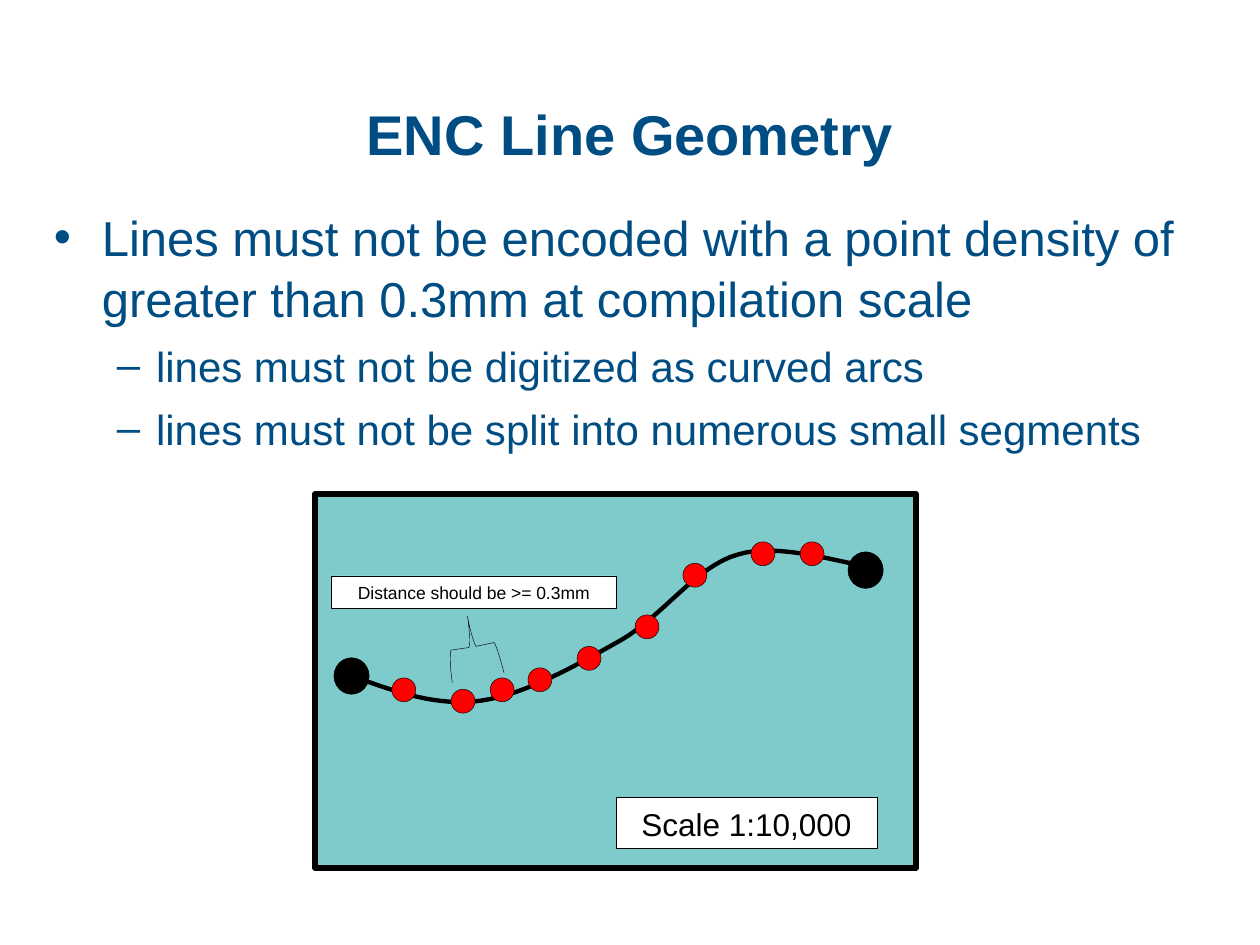
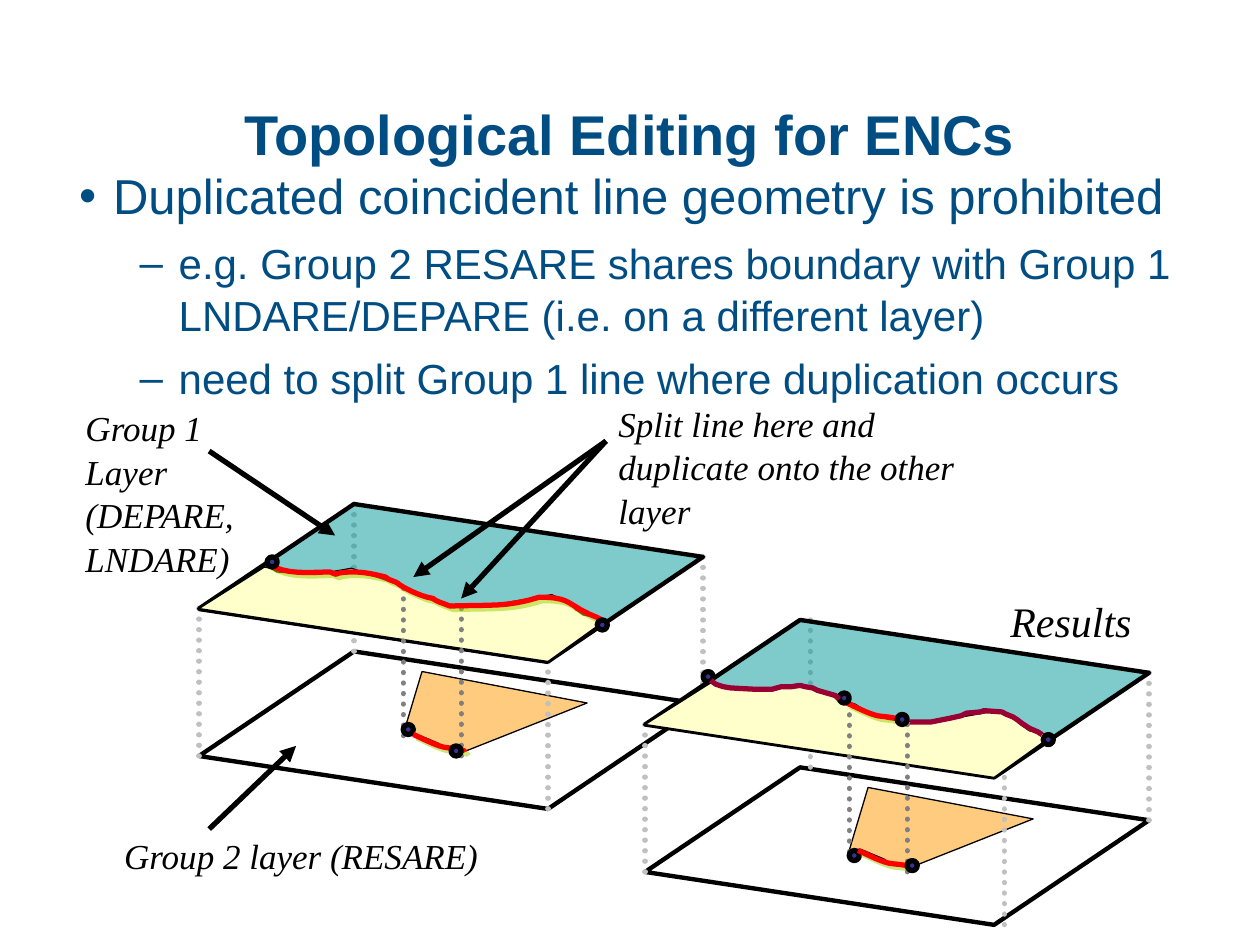
import pptx
import pptx.util
from dataclasses import dataclass
from lxml import etree
from pptx.dml.color import RGBColor
from pptx.enum.dml import MSO_LINE
from pptx.enum.shapes import MSO_CONNECTOR, MSO_SHAPE
from pptx.enum.text import MSO_ANCHOR, PP_ALIGN
from pptx.oxml.ns import qn

PX = 9144  # one px is a hundredth of an inch


@dataclass(frozen=True)
class Theme:
    navy: str = "004D83"
    black: str = "000000"
    white: str = "FFFFFF"
    red: str = "FF0000"
    wine: str = "990033"
    teal: str = "009999"
    sand: str = "FFFFCC"
    amber: str = "FF9900"
    indigo: str = "333399"
    lime: str = "99CC00"
    light: str = "C0C0C0"
    grey: str = "808080"
    sans: str = "Arial"
    serif: str = "Times New Roman"
    title: int = 32
    body: tuple = (28, 24)
    before: tuple = (7, 6)
    note: int = 20
    lead: float = 1.04


T = Theme()


# Shared helpers
def emu(*nums):
    return [round(n * PX) for n in nums]


def child(parent, tag, **attrs):
    return etree.SubElement(parent, qn(tag), {k: str(v) for k, v in attrs.items()})


def tint(color, hue, alpha=100):
    color.rgb = RGBColor.from_string(hue)
    if alpha < 100:
        child(color._xFill[0], "a:alpha", val=alpha * 1000)


def paint(shape, fill, line, width, alpha=100):
    shape.shadow.inherit = False
    if fill:
        shape.fill.solid()
        node = shape.fill
        node.fore_color.rgb = RGBColor.from_string(fill)
        if alpha < 100:
            hue = shape._element.spPr.find(qn("a:solidFill"))[0]
            child(hue, "a:alpha", val=alpha * 1000)
    else:
        shape.fill.background()
    shape.line.color.rgb = RGBColor.from_string(line)
    shape.line.width = pptx.util.Pt(width)
    return shape


def preset(shapes, kind, box, fill, line, width, alpha=100):
    shape = shapes.add_shape(kind, *emu(*box))
    return paint(shape, fill, line, width, alpha)


def outline(shapes, x, y, points, line, width, fill=None, alpha=100):
    """Draw points as an open line, or as a closed area if it has a fill."""
    spots = [emu(x + px, y + py) for px, py in points]
    build = shapes.build_freeform(*spots[0], scale=1.0)
    build.add_line_segments(spots[1:], close=bool(fill))
    return paint(build.convert_to_shape(), fill, line, width, alpha)


def curve(points, steps=8):
    """Flatten a chain of cubic curves: a start, then three points for each."""
    flat = [points[0]]
    for i in range(0, len(points) - 1, 3):
        a, b, c, d = points[i:i + 4]
        for n in range(1, steps + 1):
            t = n / steps
            u = 1 - t
            flat.append(tuple(
                u**3 * a[k] + 3 * u * u * t * b[k] + 3 * u * t * t * c[k] + t**3 * d[k]
                for k in (0, 1)))
    return flat


def rule(shapes, start, end, hue=T.black, dots=False, arrow=False):
    line = shapes.add_connector(MSO_CONNECTOR.STRAIGHT, *emu(*start, *end))
    line.line.color.rgb = RGBColor.from_string(hue)
    line.line.width = pptx.util.Pt(3)
    props = line._element.spPr
    stroke = props.find(qn("a:ln"))
    if dots:
        line.line.dash_style = MSO_LINE.ROUND_DOT
        stroke.set("cap", "rnd")
    if arrow:
        child(stroke, "a:tailEnd", type="triangle")
    child(props, "a:effectLst")


def frame(shape, anchor=MSO_ANCHOR.MIDDLE, wrap=True):
    text = shape.text_frame
    text.word_wrap = wrap
    text.vertical_anchor = anchor
    text.margin_left = text.margin_right = PX * 10
    text.margin_top = text.margin_bottom = PX * 5
    return text


def write(para, words, size, hue=T.black, face=T.sans, bold=False, italic=False):
    para.line_spacing = T.lead
    run = para.add_run()
    run.text = words
    font = run.font
    font.name, font.size = face, pptx.util.Pt(size)
    font.bold, font.italic = bold, italic
    font.color.rgb = RGBColor.from_string(hue)


def title(slide, words):
    text = frame(slide.shapes.add_textbox(*emu(50, 42, 900, 125)))
    text.paragraphs[0].alignment = PP_ALIGN.CENTER
    write(text.paragraphs[0], words, T.title, T.navy, bold=True)


def bullets(slide, box, items, indents):
    """Items are (level, words); indents give (margin, hang) for each level."""
    text = frame(slide.shapes.add_textbox(*emu(*box)), MSO_ANCHOR.TOP)
    for i, (level, words) in enumerate(items):
        para = text.add_paragraph() if i else text.paragraphs[0]
        if i:
            para.space_before = pptx.util.Pt(T.before[level])
        props = para._p.get_or_add_pPr()
        margin, hang = emu(*indents[level])
        props.set("marL", str(margin))
        props.set("indent", str(-hang))
        child(child(props, "a:buClr"), "a:srgbClr", val=T.navy)
        child(props, "a:buFont", typeface=T.sans)
        child(props, "a:buChar", char="•–"[level])
        write(para, words, T.body[level], T.navy)


def note(slide, box, lines, size=T.note, wrap=True, align=PP_ALIGN.LEFT):
    text = frame(slide.shapes.add_textbox(*emu(*box)), wrap=wrap)
    for i, words in enumerate(lines):
        para = text.add_paragraph() if i else text.paragraphs[0]
        para.alignment = align
        write(para, words, size, face=T.serif, italic=True)


# Slide 1: line with its vertices
def chart(slide, x, y):
    shapes = slide.shapes
    preset(shapes, MSO_SHAPE.RECTANGLE, (x, y, 477, 297), T.teal, T.black, 3, 50)
    route = [(31, 145), (64, 157), (97, 169), (132, 164), (168, 159), (209, 135),
             (243, 116), (277, 96), (303, 57), (336, 48), (368, 38), (422, 56), (437, 57)]
    outline(shapes, x, y, curve(route, 16), T.black, 2.5)

    # End nodes and vertices
    ends = [(423, 46), (15, 130)]
    knots = [(61, 146), (108, 155), (139, 146), (169, 138), (208, 121),
             (254, 96), (292, 55), (346, 38), (385, 38)]
    for spots, wide, high, hue in ((ends, 28, 29, T.black), (knots, 19, 19, T.red)):
        for left, top in spots:
            preset(shapes, MSO_SHAPE.OVAL, (x + left, y + top, wide, high),
                   hue, T.black, 0.25)

    # Labels
    for (left, top, wide, high), words, size in (
            ((239, 241, 207, 40), "Scale 1:10,000", 18),
            ((13, 65, 226, 26), "Distance should be >= 0.3mm", 10)):
        label = preset(shapes, MSO_SHAPE.RECTANGLE, (x + left, y + top, wide, high),
                       T.white, T.black, 0.25)
        para = frame(label).paragraphs[0]
        para.alignment = PP_ALIGN.CENTER
        write(para, words, size)

    # Brace over one gap
    brace = [(150, 142), (147, 130), (143, 118), (142, 118), (142, 118), (128, 121),
             (128, 121), (127, 121), (123, 109), (121, 97), (123, 109), (123, 122),
             (122, 122), (122, 122), (108, 124), (108, 124), (107, 125), (107, 137),
             (109, 150)]
    outline(shapes, x, y, curve(brace), T.black, 0.25)


# Slide 2: two stacked layers
def plane(shapes, x, y, fill):
    corners = [(123, 0), (0, 83), (277, 125), (400, 42)]
    outline(shapes, x, y, corners, T.black, 2.5, fill, 50)


def layers(shapes, x, y, shift=0):
    """Draw both planes, their areas and posts; shift moves two of the posts."""
    plane(shapes, x, y + 117, T.white)
    zone = [(171, 182), (190, 190), (194, 193), (204, 194), (212, 196),
            (308, 158), (177, 133), (162, 183)]
    outline(shapes, x, y, zone, T.black, 0.75, T.amber, 50)

    def posts(spots, hue):
        for left, top in spots:
            rule(shapes, (x + left, y + top), (x + left, y + top + 117), hue, dots=True)

    posts([(0, 83), (277 + shift, 125), (400, 42), (123 + shift, 0)], T.light)
    if not shift:
        rule(shapes, (x, y + 83), (x + 277, y + 125))
    plane(shapes, x, y, T.teal)
    land = [(323, 92), (305, 88), (298, 83), (295, 79), (280, 72), (223, 82), (193, 79),
            (175, 72), (167, 67), (121, 51), (93, 56), (62, 54), (57, 51), (52, 50),
            (0, 83), (277, 125)]
    outline(shapes, x, y, land, T.black, 0.75, T.sand)
    posts([(208, 83), (162, 67)], T.grey)


def nodes(shapes, x, y, spots):
    for left, top in spots:
        preset(shapes, MSO_SHAPE.OVAL, (x + left, y + top, 8, 8), T.indigo, T.black, 3)


def glow(shapes, x, y, points):
    """Draw a red line with a lime shadow."""
    line = outline(shapes, x, y, curve(points), T.red, 3)
    effect = line._element.spPr.find(qn("a:effectLst"))
    shade = child(effect, "a:outerShdw", dist=round(2.8 * 12700), dir=45 * 60000,
                  algn="ctr", rotWithShape=0)
    child(child(shade, "a:srgbClr", val=T.lime), "a:alpha", val=50000)


SHARED = [(0, 0), (7, 3), (16, 8), (24, 10), (28, 11), (41, 11), (41, 14)]


def source(slide, x, y):
    shapes = slide.shapes.add_group_shape().shapes
    layers(shapes, x, y)
    nodes(shapes, x, y, [(162, 175)])
    glow(shapes, x + 170, y + 183, SHARED)
    shore = [(54, 47), (68, 57), (90, 54), (104, 54), (114, 58), (102, 54), (123, 54),
             (131, 54), (140, 56), (148, 58), (151, 61), (156, 61), (159, 64),
             (165, 68), (174, 72), (181, 74), (190, 76), (182, 74), (191, 78),
             (194, 79), (199, 81), (199, 81), (231, 80), (245, 82), (270, 74),
             (275, 74), (286, 74), (293, 78), (317, 92), (287, 76), (307, 86),
             (312, 89), (318, 90), (322, 94)]
    glow(shapes, x, y, shore)
    nodes(shapes, x, y, [(200, 192), (316, 92), (54, 42)])


def result(slide, x, y):
    shapes = slide.shapes.add_group_shape().shapes
    layers(shapes, x, y, shift=8)
    nodes(shapes, x, y, [(162, 183)])
    for left, top in ((160, 66), (169, 183)):
        glow(shapes, x + left, y + top, SHARED)
    nodes(shapes, x, y, [(154, 58), (200, 75), (208, 191), (46, 41), (316, 91)])
    west = [(52, 48), (56, 51), (62, 53), (68, 54), (86, 55), (101, 55), (108, 53),
            (116, 53), (123, 52), (127, 53), (133, 54), (137, 56), (144, 58),
            (151, 60), (154, 63)]
    east = [(210, 81), (227, 81), (242, 78), (251, 76), (255, 74), (266, 73), (269, 72),
            (283, 73), (287, 75), (292, 77), (295, 79), (299, 82), (305, 86),
            (312, 89), (315, 91)]
    for part in (west, east):
        outline(shapes, x, y, part, T.wine, 3)


def geometry(slide):
    title(slide, "ENC Line Geometry")
    bullets(slide, (33, 158, 918, 508), [
        (0, "Lines must not be encoded with a point density of greater than 0.3mm "
            "at compilation scale"),
        (1, "lines must not be digitized as curved arcs"),
        (1, "lines must not be split into numerous small segments"),
    ], [(38, 38), (81, 31)])
    chart(slide, 250, 392)


def topology(slide):
    note(slide, (58, 319, 162, 143), ["Group 1", "Layer", "(DEPARE,", "LNDARE)"])
    title(slide, "Topological Editing for ENCs")
    bullets(slide, (42, 125, 917, 200), [
        (0, "Duplicated coincident line geometry is prohibited"),
        (1, "e.g. Group 2 RESARE shares boundary with Group 1 LNDARE/DEPARE "
            "(i.e. on a different layer)"),
        (1, "need to split Group 1 line where duplication occurs"),
    ], [(38, 27), (90, 31)])
    note(slide, (88, 657, 302, 43), ["Group 2 layer (RESARE)"],
         wrap=False, align=PP_ALIGN.CENTER)
    source(slide, 158, 400)

    # Callouts
    for start, end in (((481, 350), (328, 458)), ((481, 350), (366, 475)),
                       ((166, 358), (266, 425)), ((166, 658), (235, 592))):
        rule(slide.shapes, start, end, arrow=True)
    note(slide, (481, 315, 331, 110), ["Split line here and duplicate onto the other layer"])
    note(slide, (792, 467, 116, 50), ["Results"], 24, False, PP_ALIGN.CENTER)
    result(slide, 512, 492)


def main():
    deck = pptx.Presentation()
    deck.slide_width, deck.slide_height = emu(1000, 750)
    for fill in (geometry, topology):
        fill(deck.slides.add_slide(deck.slide_layouts[6]))
    deck.save("out.pptx")


if __name__ == "__main__":
    main()
